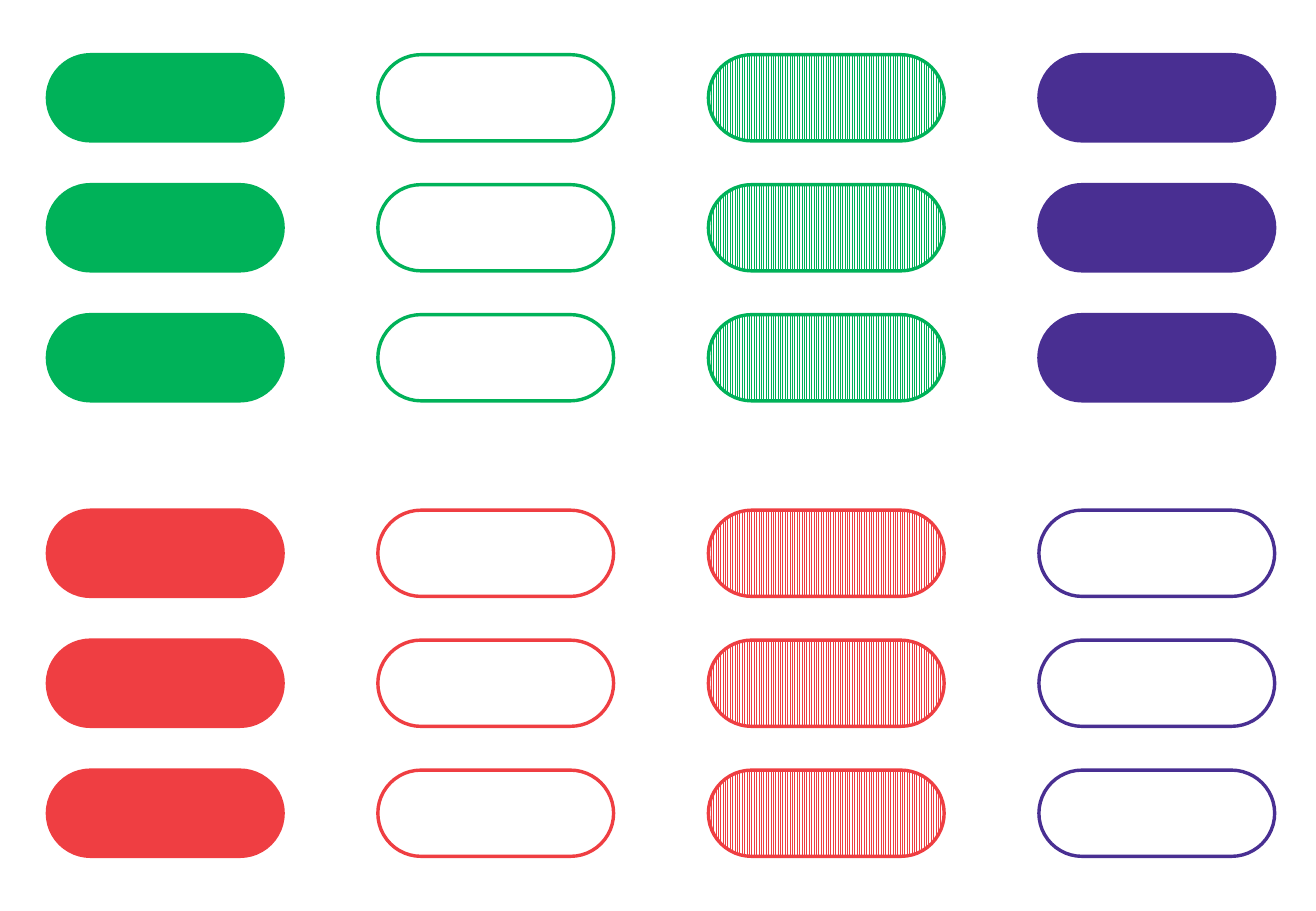
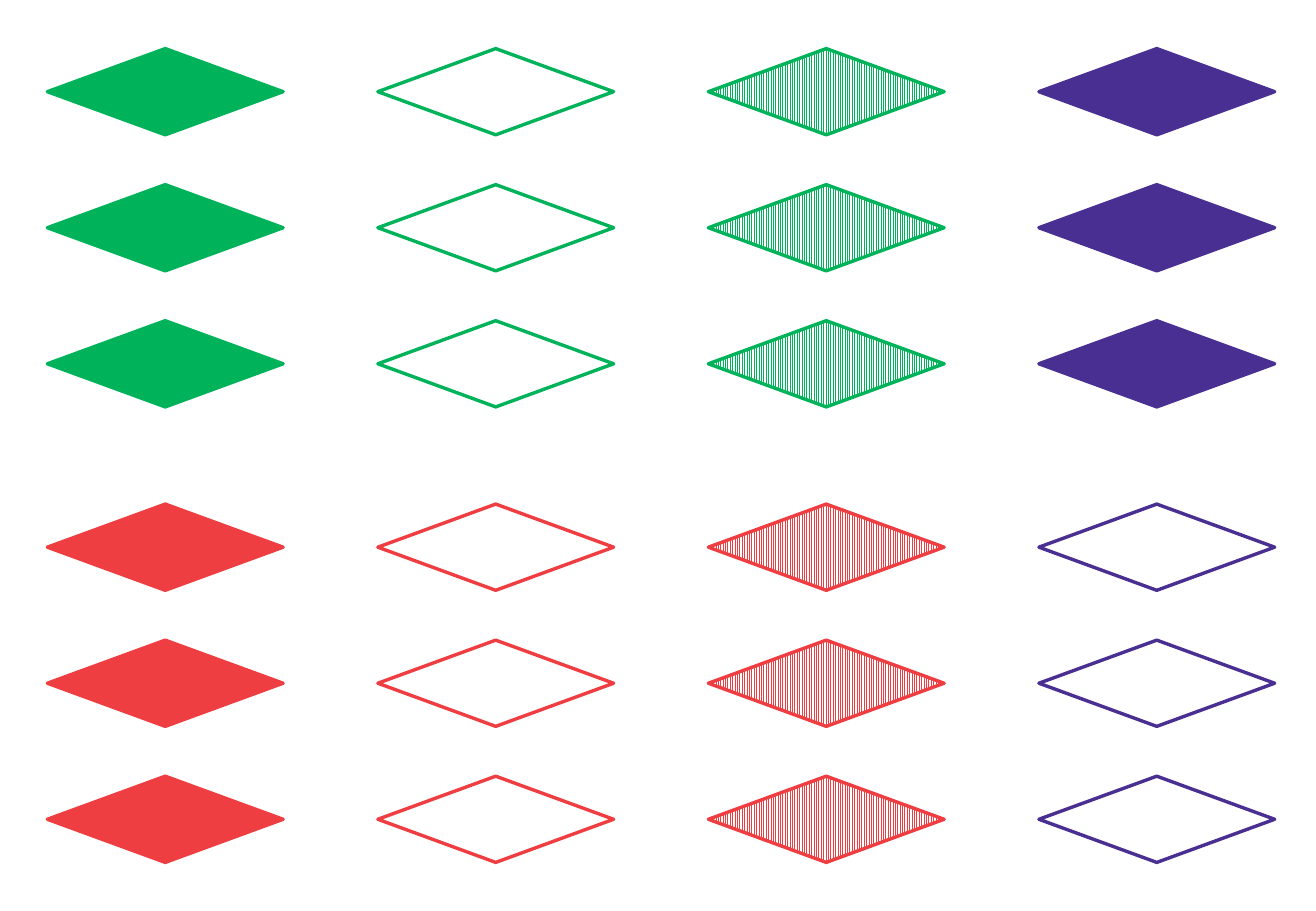
from pptx import Presentation
from pptx import util as u
from pptx.dml import color
from pptx.enum import dml, shapes

HUES = {"green": "00B259", "red": "EF3E42", "purple": "492F92", "white": "FFFFFF"}
LEFT, STEP = 0.39, 2.72
WIDTH, HEIGHT = 1.94, 0.71
BANDS = (
    (1.52, (("green", "solid"), ("green", "open"), ("green", "striped"), ("purple", "solid"))),
    (5.27, (("red", "solid"), ("red", "open"), ("red", "striped"), ("purple", "open"))),
)


class Deck:
    def __init__(self):
        self.prs = Presentation()
        self.prs.slide_width = u.Inches(10.83)
        self.prs.slide_height = u.Inches(7.5)
        self.slide = None

    def rgb(self, name):
        return color.RGBColor.from_string(HUES[name])

    def page(self):
        self.slide = self.prs.slides.add_slide(self.prs.slide_layouts[6])

    def paint(self, fill, hue, style):
        if style == "striped":
            fill.patterned()
            fill.pattern = dml.MSO_PATTERN.LIGHT_VERTICAL
            fill.fore_color.rgb = self.rgb(hue)
            fill.back_color.rgb = self.rgb("white")
        else:
            fill.solid()
            fill.fore_color.rgb = self.rgb(hue if style == "solid" else "white")

    def symbol(self, group, kind, left, top, hue, style):
        shape = group.shapes.add_shape(
            kind, u.Inches(left), u.Inches(top), u.Inches(WIDTH), u.Inches(HEIGHT)
        )
        if kind == shapes.MSO_SHAPE.ROUNDED_RECTANGLE:
            shape.adjustments[0] = 0.5
        shape.shadow.inherit = False
        self.paint(shape.fill, hue, style)
        shape.line.color.rgb = self.rgb(hue)
        shape.line.width = u.Pt(2)

    def card(self, kind, left, middle, pitch, hue, style):
        group = self.slide.shapes.add_group_shape()
        for row in (0, -1, 1):
            self.symbol(group, kind, left, middle + row * pitch, hue, style)

    def sheet(self, kind, pitch):
        self.page()
        for middle, cards in BANDS:
            for col, (hue, style) in enumerate(cards):
                self.card(kind, LEFT + col * STEP, middle, pitch, hue, style)


def main():
    deck = Deck()
    deck.sheet(shapes.MSO_SHAPE.ROUNDED_RECTANGLE, 1.07)
    deck.sheet(shapes.MSO_SHAPE.DIAMOND, 1.12)
    deck.prs.save("out.pptx")


if __name__ == "__main__":
    main()
